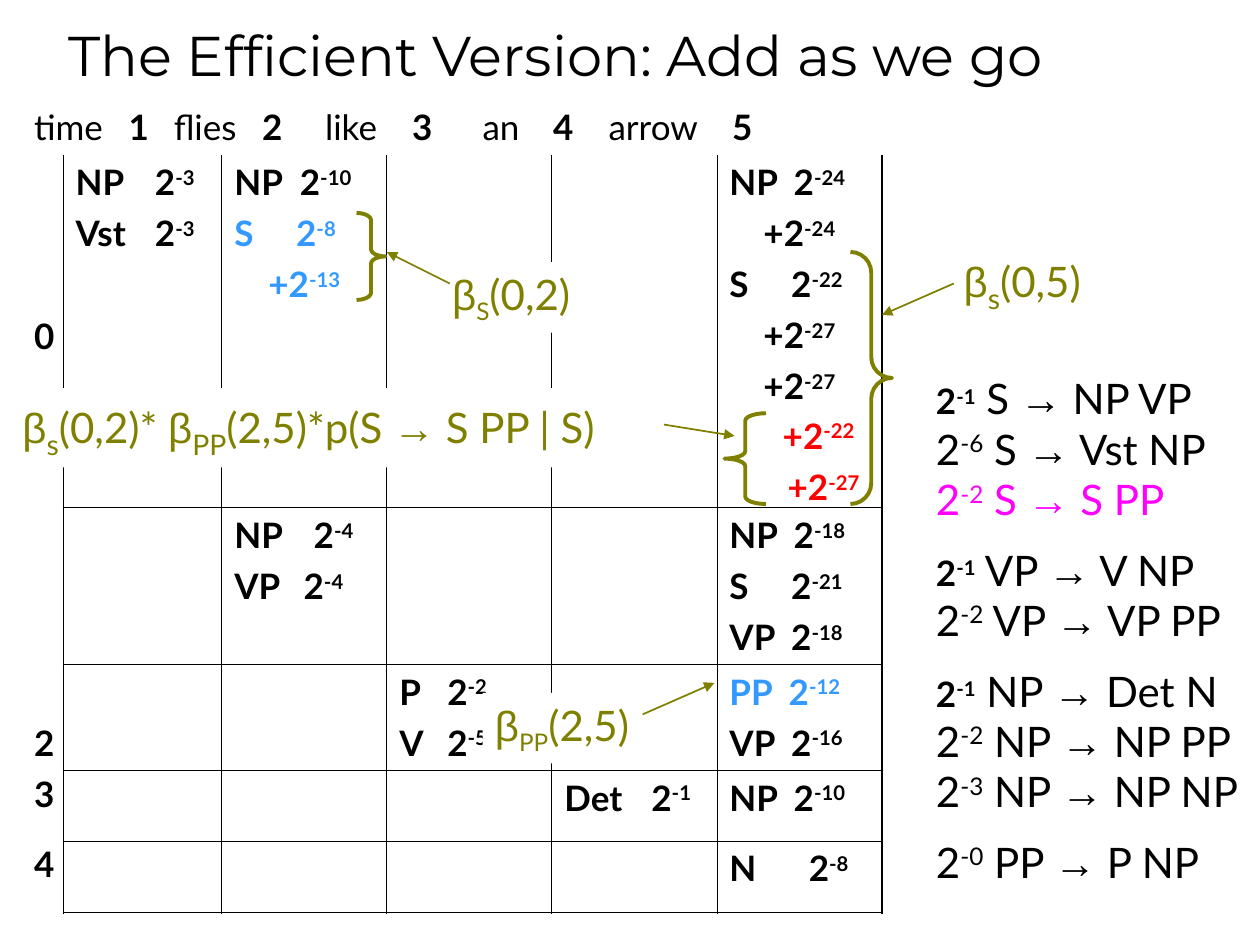
from dataclasses import dataclass

from lxml.etree import SubElement
from pptx import Presentation
from pptx.dml.color import RGBColor
from pptx.enum.shapes import MSO_CONNECTOR, MSO_SHAPE
from pptx.enum.text import MSO_ANCHOR, PP_ALIGN
from pptx.oxml.ns import qn
from pptx.util import Inches, Pt


@dataclass(frozen=True)
class Theme:
    ink: str = "000000"
    paper: str = "FFFFFF"
    blue: str = "3399FF"
    red: str = "FF0000"
    pink: str = "FF00FF"
    olive: str = "808000"
    title_font: str = "Montserrat"
    body_font: str = "Lato"
    symbol_font: str = "Arial"
    title_size: int = 32
    label_size: int = 24
    subscript_size: int = 28
    chart_size: int = 20
    thin: float = 0.45
    thick: float = 1.08


THEME = Theme()
UP, DOWN = 30, -25

COLUMNS = [0.33, 1.26] + [1.31] * 4
ROWS = [0.44, 2.8, 1.24, 0.84, 0.56, 0.57]
# Each heading word with its left offset; every second one is a bold position number.
HEADING = [("time", 0), ("1", 0.75), ("flies", 1.11), ("2", 1.81), ("like", 2.31),
           ("3", 3), ("an", 3.56), ("4", 4.12), ("arrow", 4.56), ("5", 5.54)]
# Row: start position, top inset, line spacing.
STARTS = {1: ("0", 1.27, 1), 3: ("2", 0.05, 2.2), 4: ("3", 0.05, 0.9), 5: ("4", 0.05, 0.9)}
# (row, column): entries of symbol, exponent, offset of the weight, colour.
CHART = {
    (1, 1): [("NP", "-3", 0.63, THEME.ink), ("Vst", "-3", 0.63, THEME.ink)],
    (1, 2): [("NP", "-10", 0.52, THEME.ink), ("S", "-8", 0.49, THEME.blue),
             ("", "-13", 0.27, THEME.blue)],
    (1, 5): [("NP", "-24", 0.51, THEME.ink), ("", "-24", 0.27, THEME.ink),
             ("S", "-22", 0.49, THEME.ink), ("", "-27", 0.27, THEME.ink),
             ("", "-27", 0.27, THEME.ink)],
    (2, 2): [("NP", "-4", 0.63, THEME.ink), ("VP", "-4", 0.55, THEME.ink)],
    (2, 5): [("NP", "-18", 0.51, THEME.ink), ("S", "-21", 0.49, THEME.ink),
             ("VP", "-18", 0.49, THEME.ink)],
    (3, 3): [("P", "-2", 0.38, THEME.ink), ("V", "-5", 0.38, THEME.ink)],
    (3, 5): [("PP", "-12", 0.47, THEME.blue), ("VP", "-16", 0.49, THEME.ink)],
    (4, 4): [("Det", "-1", 0.69, THEME.ink)],
    (4, 5): [("NP", "-10", 0.51, THEME.ink)],
    (5, 5): [("N", "-8", 0.63, THEME.ink)],
}
GRAMMAR = [("-1", "S", "NP VP"), ("-6", "S", "Vst NP"), ("-2", "S", "S PP"),
           ("-1", "VP", "V NP"), ("-2", "VP", "VP PP"),
           ("-1", "NP", "Det N"), ("-2", "NP", "NP PP"), ("-3", "NP", "NP NP"),
           ("-0", "PP", "P NP")]


def add_span(para, text, size, color=THEME.ink, bold=False, font=THEME.body_font, shift=0):
    span = para.add_run()
    span.text = text
    span.font.name, span.font.size, span.font.bold = font, Pt(size), bold
    span.font.color.rgb = RGBColor.from_string(color)
    if shift:
        span._r.get_or_add_rPr().set("baseline", str(shift * 1000))


def paragraphs(frame, items, space_before=0):
    """Yield a paragraph with each item, spacing all but the first."""
    for index, item in enumerate(items):
        para = frame.add_paragraph() if index else frame.paragraphs[0]
        if index and space_before:
            para.space_before = Pt(space_before)
        yield para, item


def set_tabs(para, offsets):
    tabs = SubElement(para._p.get_or_add_pPr(), qn("a:tabLst"))
    for offset in offsets:
        SubElement(tabs, qn("a:tab"), pos=str(Inches(offset)), algn="l")


def set_borders(cell, widths):
    """Draw the left, right, top and bottom borders; zero means none."""
    props = cell._tc.get_or_add_tcPr()
    for index, (side, width) in enumerate(zip("LRTB", widths)):
        line = SubElement(props, qn(f"a:ln{side}"), w=str(Pt(width)))
        if width:
            SubElement(SubElement(line, qn("a:solidFill")), qn("a:srgbClr"), val=THEME.ink)
        else:
            SubElement(line, qn("a:noFill"))
        props.insert(index, line)


def add_title(page, box):
    title = page.shapes.title
    title.left, title.top, title.width, title.height = map(Inches, box)
    frame = title.text_frame
    frame.vertical_anchor = MSO_ANCHOR.BOTTOM
    frame.paragraphs[0].alignment = PP_ALIGN.LEFT
    add_span(frame.paragraphs[0], "The Efficient Version: Add as we go",
             THEME.title_size, font=THEME.title_font)


def add_parse_chart(page, left, top):
    table = page.shapes.add_table(len(ROWS), len(COLUMNS), Inches(left), Inches(top),
                                  Inches(sum(COLUMNS)), Inches(sum(ROWS))).table
    table.first_row = table.horz_banding = False
    for column, width in zip(table.columns, COLUMNS):
        column.width = Inches(width)
    for row, height in zip(table.rows, ROWS):
        row.height = Inches(height)

    last_row, last_column = len(ROWS) - 1, len(COLUMNS) - 1
    for r in range(len(ROWS)):
        for c in range(len(COLUMNS)):
            cell = table.cell(r, c)
            cell.fill.background()
            inside = THEME.thin if r and c else 0
            right = THEME.thick if c == last_column else THEME.thin
            bottom = THEME.thick if r == last_row else THEME.thin
            set_borders(cell, (inside, right if r else 0,
                               inside if r > 1 else 0, bottom if inside else 0))

    heading = table.cell(0, 0)
    heading.merge(table.cell(0, last_column))
    para = heading.text_frame.paragraphs[0]
    set_tabs(para, [offset for _, offset in HEADING[1:]])
    for index, (word, _) in enumerate(HEADING):
        add_span(para, "\t" + word if index else word, THEME.chart_size, bold=index % 2 == 1)

    for r, (start, inset, spacing) in STARTS.items():
        cell = table.cell(r, 0)
        cell.margin_top = Inches(inset)
        para = cell.text_frame.paragraphs[0]
        para.alignment, para.line_spacing = PP_ALIGN.CENTER, spacing
        add_span(para, start, THEME.chart_size, bold=True)

    for (r, c), entries in CHART.items():
        for para, entry in paragraphs(table.cell(r, c).text_frame, entries, 5):
            symbol, exponent, offset, color = entry
            if symbol:
                set_tabs(para, [offset])
            else:
                para._p.get_or_add_pPr().set("marL", str(Inches(offset)))
            add_span(para, f"{symbol}\t2" if symbol else "+2", THEME.chart_size, color, True)
            add_span(para, exponent, THEME.chart_size, color, True, shift=UP)


def add_text_box(page, box):
    frame = page.shapes.add_textbox(*map(Inches, box)).text_frame
    frame.word_wrap = True
    return frame


def add_grammar(page, box):
    previous = "S"
    for para, (exponent, head, body) in paragraphs(add_text_box(page, box), GRAMMAR):
        if head != previous:
            para.line_spacing = 1.4
        previous = head
        strong = exponent == "-1"
        size = THEME.chart_size if strong else THEME.label_size
        color = THEME.pink if body == "S PP" else THEME.ink
        add_span(para, "2", size, color, strong)
        add_span(para, exponent, size, color, strong, shift=UP)
        add_span(para, f" {head} ", THEME.label_size, color)
        add_span(para, "→", THEME.label_size, color, font=THEME.symbol_font)
        add_span(para, f" {body}", THEME.label_size, color)


def add_new_weights(page, box):
    for para, exponent in paragraphs(add_text_box(page, box), ["-22 ", "-27"], 12.5):
        para.alignment, para.line_spacing = PP_ALIGN.RIGHT, 0.7
        add_span(para, "+2", THEME.chart_size, THEME.red, True)
        add_span(para, exponent, THEME.chart_size, THEME.red, True, shift=UP)


def add_callout(page, box, parts, arrow, brace=None):
    """Group a label with its arrow and, where given, a brace (kind, box, curl)."""
    shapes = page.shapes.add_group_shape().shapes
    label = shapes.add_shape(MSO_SHAPE.RECTANGLE, *map(Inches, box))
    label.shadow.inherit = False
    label.fill.solid()
    label.fill.fore_color.rgb = RGBColor.from_string(THEME.paper)
    label.line.fill.background()
    frame = label.text_frame
    frame.word_wrap, frame.vertical_anchor = True, MSO_ANCHOR.TOP
    para = frame.paragraphs[0]
    para.alignment = PP_ALIGN.LEFT
    for text, *style in parts:
        size, shift = style or (THEME.label_size, 0)
        font = THEME.symbol_font if text in "β→" else THEME.body_font
        add_span(para, text, size, THEME.olive, font=font, shift=shift)

    line = shapes.add_connector(MSO_CONNECTOR.STRAIGHT, *map(Inches, arrow))
    line.line.color.rgb = RGBColor.from_string(THEME.olive)
    line.line.width = Pt(1)
    SubElement(line.line._get_or_add_ln(), qn("a:tailEnd"), type="triangle")
    SubElement(line._element.spPr, qn("a:effectLst"))

    if brace:
        kind, brace_box, curl = brace
        mark = shapes.add_shape(kind, *map(Inches, brace_box))
        mark.shadow.inherit = False
        mark.adjustments[0] = curl
        mark.fill.background()
        mark.line.color.rgb = RGBColor.from_string(THEME.olive)
        mark.line.width = Pt(2.25)


def main():
    deck = Presentation()
    deck.slide_width, deck.slide_height = Inches(10), Inches(7.5)
    page = deck.slides.add_slide(deck.slide_layouts[5])
    small, large = (THEME.label_size, DOWN), (THEME.subscript_size, DOWN)
    left_brace, right_brace = MSO_SHAPE.LEFT_BRACE, MSO_SHAPE.RIGHT_BRACE

    add_parse_chart(page, 0.17, 0.79)
    add_grammar(page, (7.33, 2.91, 2.67, 4.18))
    add_title(page, (0.44, 0.06, 9.14, 0.69))
    add_new_weights(page, (5.42, 3.33, 1.5, 0.74))
    add_callout(page, (3.83, 5.5, 1.43, 0.56), [("β",), ("PP", *small), ("(2,5)",)],
                (5.1, 5.67, 5.67, 5.42))
    add_callout(page, (3.49, 2.08, 1.26, 0.56), [("β",), ("S", *small), ("(0,2)",)],
                (3.57, 2.25, 3.07, 2), (right_brace, (2.83, 1.69, 0.23, 0.69), 0.25))
    add_callout(page, (7.55, 1.92, 1.43, 0.63), [("β",), ("s", *large), ("(0,5)",)],
                (7.57, 2.25, 7, 2.5), (right_brace, (6.75, 2, 0.33, 2), 0.5))
    add_callout(page, (0.08, 3.08, 5.25, 0.63),
                [("β",), ("s", *large), ("(0,2)* ",), ("β",), ("PP", *large),
                 ("(2,5)*p(S ",), ("→",), (" S PP | S)",)],
                (5.27, 3.37, 5.83, 3.46), (left_brace, (5.75, 3.28, 0.33, 0.72), 0.18))
    deck.save("out.pptx")


if __name__ == "__main__":
    main()
